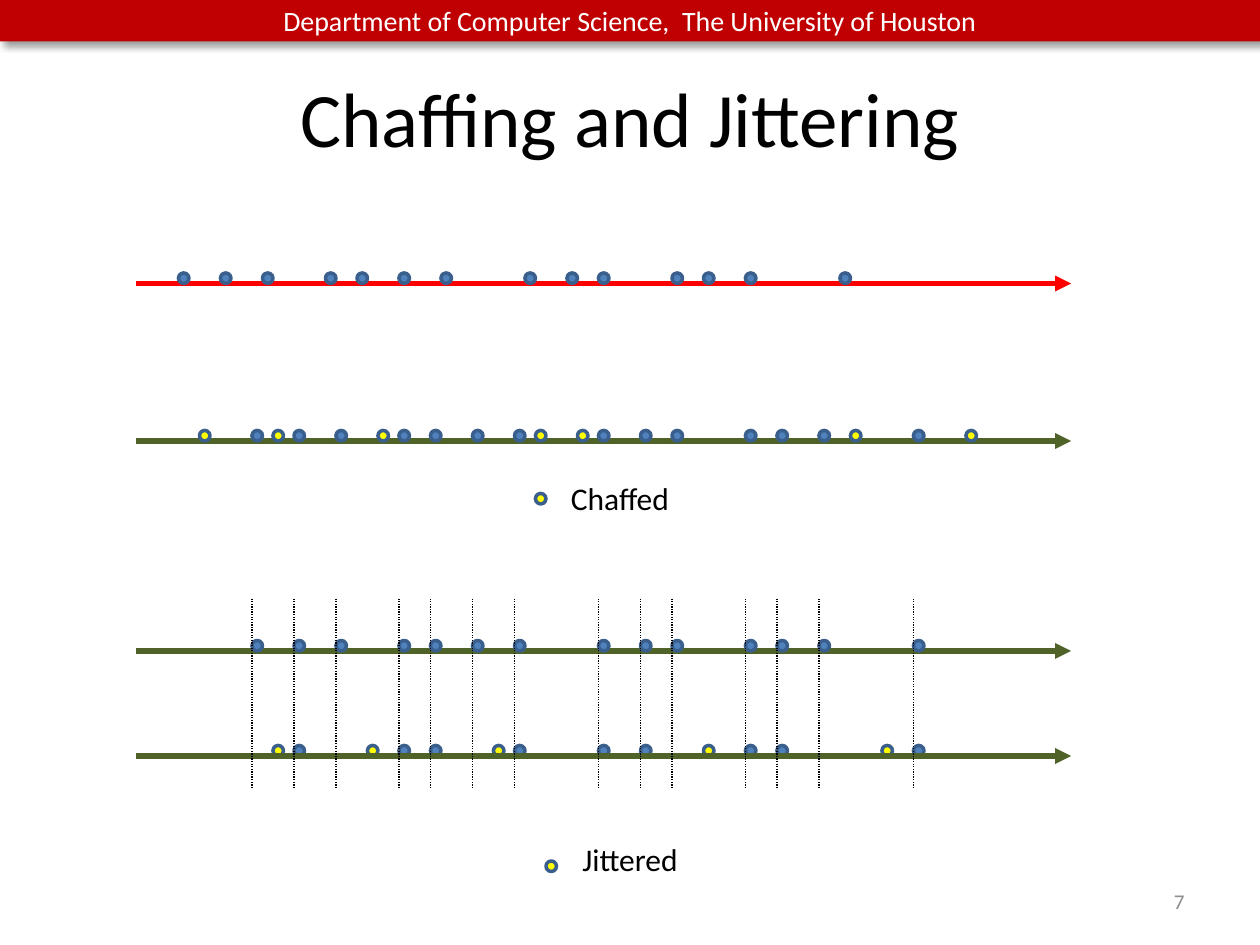
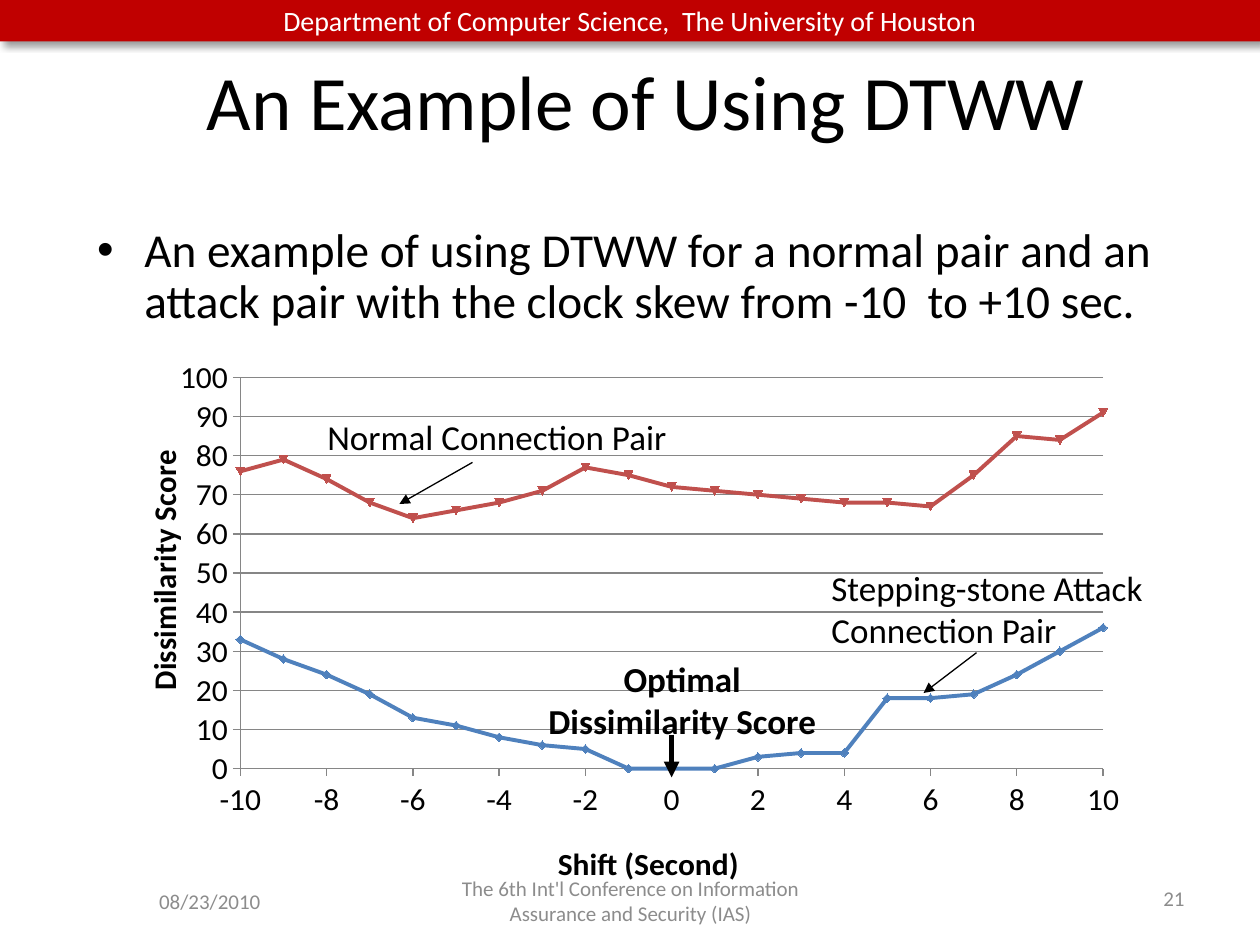
from dataclasses import dataclass

from lxml import etree
from pptx import Presentation
from pptx import util as u
from pptx.chart import data as chart_data
from pptx.dml import color as dml
from pptx.enum import chart as charts, dml as lines, shapes, text
from pptx.oxml import ns

LEFT, CENTER, RIGHT = text.PP_ALIGN.LEFT, text.PP_ALIGN.CENTER, text.PP_ALIGN.RIGHT
TOP, MIDDLE = text.MSO_ANCHOR.TOP, text.MSO_ANCHOR.MIDDLE

# Packet times, in twelfths of an inch from the left edge
PACKETS = (17, 21, 25, 31, 34, 38, 42, 50, 54, 57, 64, 67, 71, 80)
DELAYED = [packet + 7 for packet in PACKETS]
CHAFF = (19, 26, 36, 51, 55, 81, 92)
ON_TIME = (28, 38, 41, 49, 57, 61, 71, 74, 87)
JITTERED = (26, 35, 47, 67, 84)

SHIFTS = range(-10, 11)
ATTACK_SCORES = (33, 28, 24, 19, 13, 11, 8, 6, 5, 0, 0, 0,
                 3, 4, 4, 18, 18, 19, 24, 30, 36)
NORMAL_SCORES = (76, 79, 74, 68, 64, 66, 68, 71, 77, 75, 72, 71,
                 70, 69, 68, 68, 67, 75, 85, 84, 91)


@dataclass(frozen=True)
class Theme:
    font: str = "Calibri"
    black: str = "000000"
    white: str = "FFFFFF"
    band: str = "C00000"
    muted: str = "8C8C8C"
    grid: str = "868686"
    source_axis: str = "FF0000"
    relay_axis: str = "4F6228"
    packet: str = "4F81BD"
    packet_line: str = "3A5F8C"
    chaff: str = "FFFF00"
    attack: str = "4F81BD"
    normal: str = "C0504D"
    title_size: float = 44
    body_size: float = 27
    callout_size: float = 20
    label_size: float = 18
    band_size: float = 16
    footer_size: float = 12


def rgb(value):
    return dml.RGBColor.from_string(value)


def twelfths(count):
    return u.Inches(count / 12)


def add_xml(parent, tag, **attributes):
    child = etree.SubElement(parent, ns.qn(tag))
    for name, value in attributes.items():
        child.set(name, str(value))
    return child


def format_text(frame, content, *, font, size, color, bold=False, align=LEFT,
                anchor=TOP, line_spacing=None):
    frame.word_wrap = True
    frame.auto_size = text.MSO_AUTO_SIZE.NONE
    frame.vertical_anchor = anchor
    paragraph = frame.paragraphs[0]
    paragraph.alignment = align
    paragraph.space_before = u.Pt(0)
    if line_spacing:
        paragraph.line_spacing = line_spacing
    run = paragraph.add_run()
    run.text = content
    run.font.name, run.font.size, run.font.bold = font, u.Pt(size), bold
    run.font.color.rgb = rgb(color)


def place_in_chart(element, index, x, y, width=None, height=None):
    """Give a plot area or axis title a manual layout, in fractions of the chart."""
    for old_layout in element.findall(ns.qn("c:layout")):
        element.remove(old_layout)
    layout = etree.Element(ns.qn("c:layout"))
    element.insert(index, layout)
    manual = add_xml(layout, "c:manualLayout")
    if width:
        add_xml(manual, "c:layoutTarget", val="inner")
    add_xml(manual, "c:xMode", val="edge")
    add_xml(manual, "c:yMode", val="edge")
    for tag, value in (("x", x), ("y", y), ("w", width), ("h", height)):
        if value is not None:
            add_xml(manual, f"c:{tag}", val=value)


class Deck:
    def __init__(self, theme):
        self.theme = theme
        self.presentation = Presentation()
        self.presentation.slide_width = u.Inches(10)
        self.presentation.slide_height = u.Inches(7.5)
        self.slide = None

    def new_slide(self, layout_index, number, number_spacing=None):
        layout = self.presentation.slide_layouts[layout_index]
        self.slide = self.presentation.slides.add_slide(layout)
        self.band()
        self.footer(str(number), 7.17, 2.33, align=RIGHT, line_spacing=number_spacing)

    def fill_text(self, frame, content, size, color=None, **style):
        format_text(frame, content, font=self.theme.font, size=size,
                    color=color or self.theme.black, **style)

    def shape(self, kind, left, top, width, height, fill):
        shape = self.slide.shapes.add_shape(kind, left, top, width, height)
        shape.shadow.inherit = False
        shape.fill.solid()
        shape.fill.fore_color.rgb = rgb(fill)
        return shape

    def band(self):
        band = self.shape(shapes.MSO_SHAPE.RECTANGLE, 0, 0, u.Inches(10),
                          u.Inches(0.33), self.theme.band)
        band.line.fill.background()
        effects = band._element.spPr.find(ns.qn("a:effectLst"))
        shadow = add_xml(effects, "a:outerShdw", blurRad=u.Pt(4), dist=u.Pt(3),
                         dir=45 * 60000, algn="tl", rotWithShape=0)
        shade = add_xml(shadow, "a:srgbClr", val=self.theme.black)
        add_xml(shade, "a:alpha", val=40000)
        self.fill_text(band.text_frame,
                       "Department of Computer Science,  The University of Houston",
                       self.theme.band_size, self.theme.white,
                       align=CENTER, anchor=MIDDLE)

    def placeholder(self, index, content, box, size, **style):
        holder = self.slide.placeholders[index]
        holder.left, holder.top, holder.width, holder.height = map(u.Inches, box)
        self.fill_text(holder.text_frame, content, size, **style)

    def title(self, content, *box):
        self.placeholder(0, content, box, self.theme.title_size,
                         align=CENTER, anchor=MIDDLE)

    def body(self, content, *box):
        self.placeholder(1, content, box, self.theme.body_size, line_spacing=0.9)

    def label(self, content, box, size, color=None, **style):
        label = self.slide.shapes.add_textbox(*map(u.Inches, box))
        self.fill_text(label.text_frame, content, size, color, **style)

    def footer(self, content, left, width, **style):
        self.label(content, (left, 6.95, width, 0.4), self.theme.footer_size,
                   self.theme.muted, anchor=MIDDLE, **style)

    def line(self, start, end, color, width, arrow=False, dash=None):
        line = self.slide.shapes.add_connector(
            shapes.MSO_CONNECTOR.STRAIGHT, *map(u.Inches, start + end))
        line.line.color.rgb = rgb(color)
        line.line.width = u.Pt(width)
        if dash:
            line.line.dash_style = dash
        properties = line._element.spPr
        if arrow:
            add_xml(properties.find(ns.qn("a:ln")), "a:tailEnd", type="triangle")
        add_xml(properties, "a:effectLst")

    def time_axis(self, row, color):
        self.line((1.08, row / 12), (8.5, row / 12), color, 3, arrow=True)

    def packets(self, columns, row, fill):
        for column in columns:
            dot = self.shape(shapes.MSO_SHAPE.OVAL, twelfths(column), twelfths(row),
                             twelfths(1), twelfths(1), fill)
            dot.line.color.rgb = rgb(self.theme.packet_line)
            dot.line.width = u.Pt(2)

    def axis(self, axis, title, minimum, maximum, step, title_place):
        axis.minimum_scale, axis.maximum_scale = minimum, maximum
        axis.major_unit = step
        axis.major_tick_mark = charts.XL_TICK_MARK.OUTSIDE
        axis.minor_tick_mark = charts.XL_TICK_MARK.NONE
        axis.tick_labels.number_format = "General"
        axis.tick_labels.number_format_is_linked = False
        axis.crosses = charts.XL_AXIS_CROSSES.MINIMUM
        axis.format.line.color.rgb = rgb(self.theme.grid)
        run = axis.axis_title.text_frame.paragraphs[0].add_run()
        run.text = title
        run.font.name, run.font.bold = self.theme.font, True
        run.font.size = u.Pt(self.theme.label_size)
        run.font.color.rgb = rgb(self.theme.black)
        place_in_chart(axis.axis_title._element, 1, *title_place)

    def score_chart(self, *box):
        data = chart_data.XyChartData()
        for name, scores in (("Series 1", ATTACK_SCORES), ("Series 2", NORMAL_SCORES)):
            series = data.add_series(name)
            for shift, score in zip(SHIFTS, scores):
                series.add_data_point(shift, score)
        chart = self.slide.shapes.add_chart(
            charts.XL_CHART_TYPE.XY_SCATTER_LINES, *map(u.Inches, box), data).chart
        chart.has_title = chart.has_legend = False
        chart.font.name = self.theme.font
        chart.font.size = u.Pt(self.theme.label_size)
        chart.font.color.rgb = rgb(self.theme.black)

        plot = chart.plots[0]
        plot.vary_by_categories = False
        for series, color in zip(plot.series, (self.theme.attack, self.theme.normal)):
            series.smooth = False
            series.format.line.color.rgb = rgb(color)
            series.format.line.width = u.Pt(2.25)
            series.marker.size = 5
            series.marker.format.fill.solid()
            series.marker.format.fill.fore_color.rgb = rgb(color)
            series.marker.format.line.color.rgb = rgb(color)

        shift_axis, score_axis = chart.category_axis, chart.value_axis
        self.axis(shift_axis, "Shift (Second)", -10, 10, 2, (0.41, 0.92))
        self.axis(score_axis, "Dissimilarity Score", 0, 100, 10, (0.01, 0.18))
        shift_axis.has_major_gridlines = False
        score_axis.has_major_gridlines = True
        score_axis.major_gridlines.format.line.color.rgb = rgb(self.theme.grid)
        score_title = score_axis.axis_title._element
        next(score_title.iter(ns.qn("a:bodyPr"))).set("rot", "-5400000")
        plot_area = chart._chartSpace.chart.plotArea
        place_in_chart(plot_area, 0, 0.11, 0.04, 0.83, 0.75)

    def callout(self, content, box, start, end, width=0.75, **style):
        self.line(start, end, self.theme.black, width, arrow=True)
        self.label(content, box, self.theme.callout_size, **style)


def chaffing_slide(deck):
    theme = deck.theme
    deck.new_slide(5, 7)
    deck.title("Chaffing and Jittering", 0.5, 0.3, 9, 1.25)

    deck.time_axis(27, theme.source_axis)
    deck.packets(PACKETS, 26, theme.packet)

    deck.time_axis(42, theme.relay_axis)
    deck.packets(DELAYED, 41, theme.packet)
    deck.packets(CHAFF, 41, theme.chaff)

    deck.time_axis(62, theme.relay_axis)
    deck.packets(DELAYED, 61, theme.packet)
    deck.packets(JITTERED, 71, theme.chaff)
    deck.packets(ON_TIME, 71, theme.packet)
    deck.time_axis(72, theme.relay_axis)
    for column in DELAYED:
        deck.line((column / 12, 4.75), (column / 12, 6.25), theme.black, 0.75,
                  dash=lines.MSO_LINE.ROUND_DOT)

    for name, left, top, column, row in (("Chaffed", 3.67, 3.75, 51, 47),
                                         ("Jittered", 3.75, 6.62, 52, 82)):
        deck.label(name, (left, top, 2.5, 0.42), theme.label_size, align=CENTER)
        deck.packets([column], row, theme.chaff)


def dtww_slide(deck):
    deck.new_slide(1, 21, number_spacing=0.8)
    deck.title("An Example of Using DTWW", 0.67, 0.25, 8.92, 1.08)
    deck.body("An example of using DTWW for a normal pair and an attack pair "
              "with the clock skew from -10  to +10 sec.", 0.67, 1.75, 8.92, 1.17)
    deck.footer("08/23/2010", 0.5, 2.33, align=CENTER)
    deck.footer("The 6th Int'l Conference on Information Assurance and Security (IAS)",
                3.42, 3.17, align=CENTER)
    deck.score_chart(1, 2.83, 8.25, 4.25)
    deck.callout("Stepping-stone Attack Connection Pair", (6.5, 4.45, 2.96, 0.8),
                 (7.75, 5.18), (7.33, 5.5))
    deck.callout("Normal Connection Pair", (2.5, 3.25, 2.92, 0.51),
                 (3.75, 3.67), (3.17, 4))
    deck.callout("Optimal Dissimilarity Score", (4.25, 5.17, 2.33, 0.5),
                 (5.33, 5.83), (5.33, 6.17), width=3, bold=True, align=CENTER)


def main():
    deck = Deck(Theme())
    chaffing_slide(deck)
    dtww_slide(deck)
    deck.presentation.save("out.pptx")


if __name__ == "__main__":
    main()
